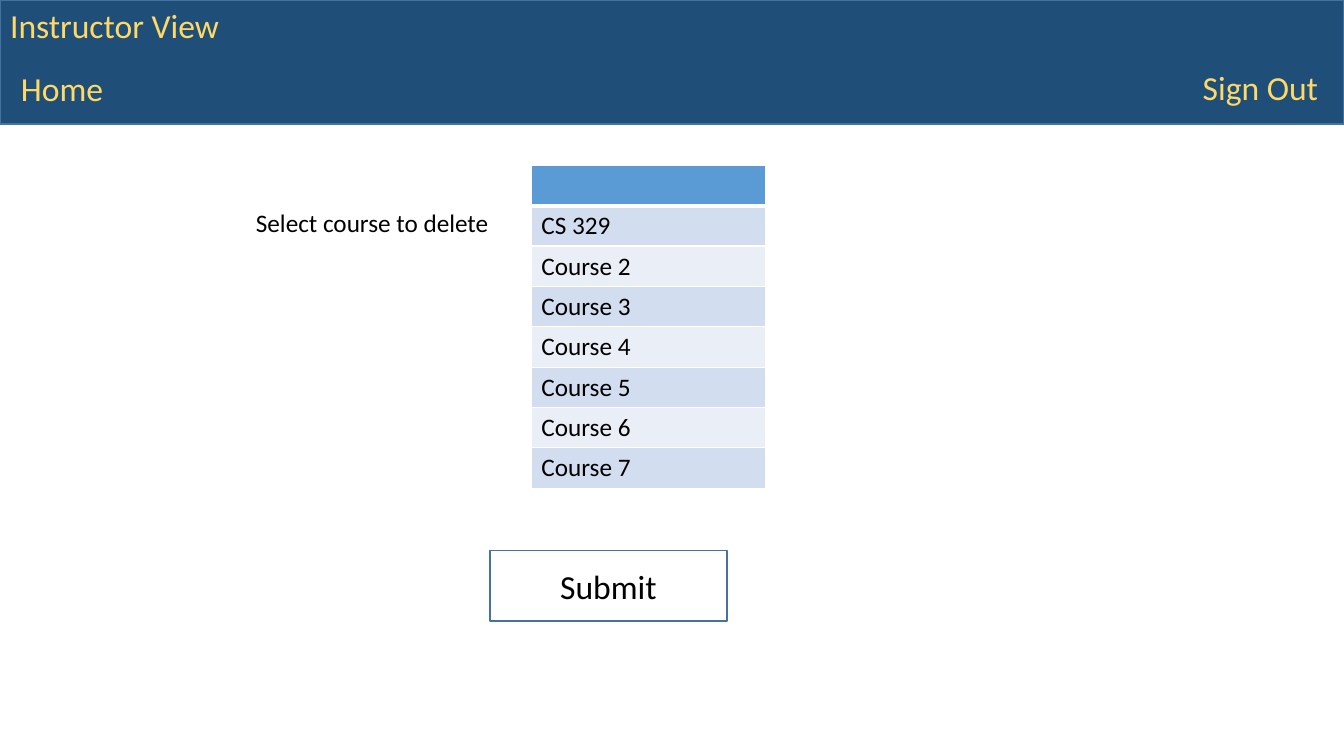
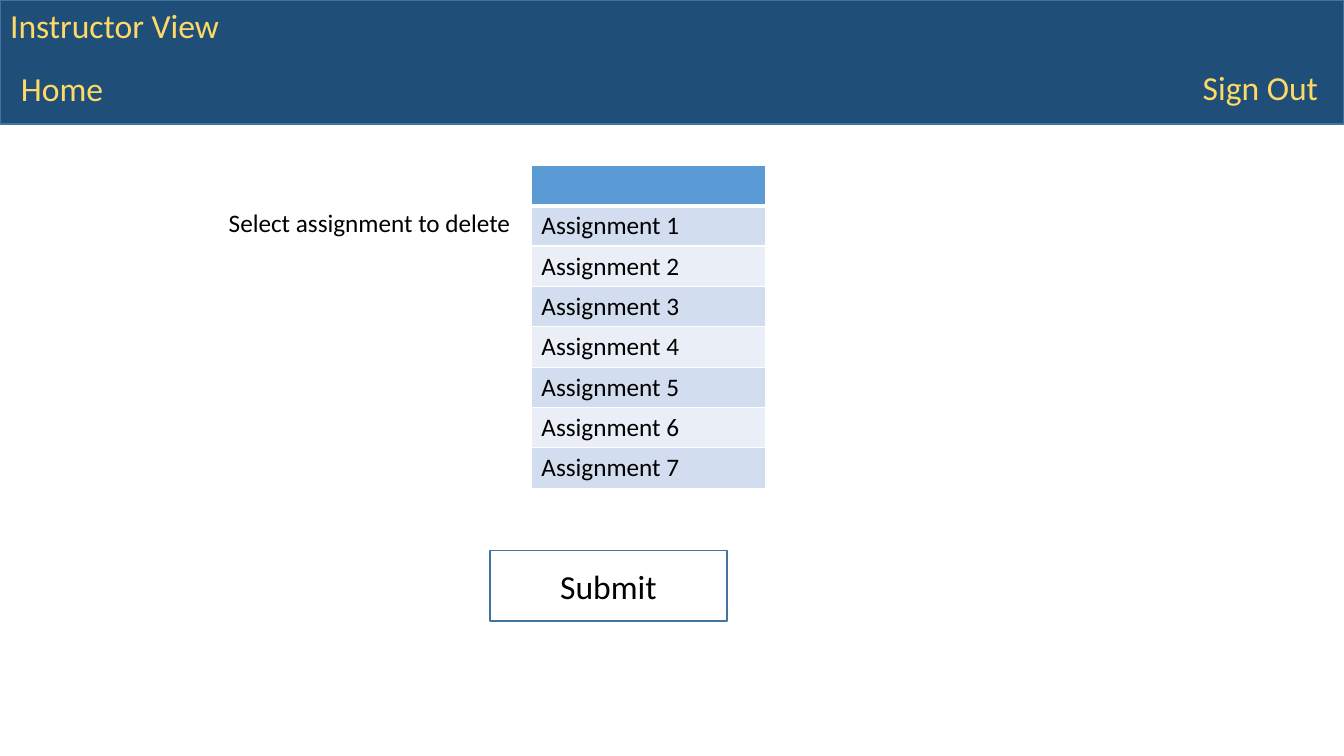
from lxml import etree
from pptx import Presentation
from pptx.dml.color import RGBColor
from pptx.enum.shapes import MSO_SHAPE as Shape
from pptx.enum.text import MSO_ANCHOR as Anchor, MSO_AUTO_SIZE as AutoSize, PP_ALIGN as Align
from pptx.oxml.ns import qn
from pptx.util import Inches, Pt

# Shared look
FONT = "Calibri"
NAVY, OUTLINE, GOLD = "1F4E79", "43739E", "FFD966"
BLACK, WHITE = "000000", "FFFFFF"
HEADER_FILL, BAND_FILLS = "5B9BD5", ("D2DEEF", "EAEFF7")
LARGE, BODY = 24, 18

deck = Presentation()
deck.slide_width, deck.slide_height = Inches(13.33), Inches(7.5)
TITLE_ONLY = deck.slide_layouts[5]

# Shared grid
BAND_HEIGHT = Inches(1.23)
LINE_HEIGHT = Inches(0.5)
LIST_LEFT, LIST_TOP = Inches(5.27), Inches(1.64)
LIST_WIDTH, ROW_HEIGHT = Inches(2.32), Inches(0.4)
BUTTON = Inches(4.86), Inches(5.46), Inches(2.35), Inches(0.7)
NAV_LINKS = [("Sign Out", Inches(11.83), Inches(0.61), Inches(1.5)),
             ("Home", Inches(0.11), Inches(0.62), Inches(1.04))]

# Prompt, its left edge and width, and the entries of each page
PAGES = [
    ("Select course to delete", Inches(2.44), Inches(2.83),
     ["CS 329"] + [f"Course {number}" for number in range(2, 8)]),
    ("Select assignment to delete", Inches(2.17), Inches(3.11),
     [f"Assignment {number}" for number in range(1, 8)]),
]


def color(hex_value):
    return RGBColor.from_string(hex_value)


def write(frame, text, size, hex_value, align=Align.LEFT, anchor=Anchor.TOP):
    frame.word_wrap = True
    frame.vertical_anchor = anchor
    para = frame.paragraphs[0]
    para.alignment = align
    span = para.add_run()
    span.text = text
    span.font.name, span.font.size = FONT, Pt(size)
    span.font.color.rgb = color(hex_value)


for prompt, prompt_left, prompt_width, entries in PAGES:
    page = deck.slides.add_slide(TITLE_ONLY)
    shapes = page.shapes
    title = shapes.title

    # Top band and submit button
    band = shapes.add_shape(Shape.RECTANGLE, 0, 0, deck.slide_width, BAND_HEIGHT)
    button = shapes.add_shape(Shape.RECTANGLE, *BUTTON)
    for box in (band, button):
        box.shadow.inherit = False
        box.line.color.rgb = color(OUTLINE)
        box.line.width = Pt(1)
    band.fill.solid()
    band.fill.fore_color.rgb = color(NAVY)
    button.fill.background()
    write(button.text_frame, "Submit", LARGE, BLACK, Align.CENTER, Anchor.MIDDLE)

    # Title, in front of the band
    band._element.addnext(title._element)
    title.left, title.top, title.width, title.height = 0, 0, Inches(2.3), LINE_HEIGHT
    title.text_frame.auto_size = AutoSize.NONE
    write(title.text_frame, "Instructor View", LARGE, GOLD)

    # Navigation links
    for label, left, top, width in NAV_LINKS:
        box = shapes.add_textbox(left, top, width, LINE_HEIGHT)
        write(box.text_frame, label, LARGE, GOLD)

    # Prompt
    box = shapes.add_textbox(prompt_left, Inches(2.01), prompt_width, ROW_HEIGHT)
    write(box.text_frame, prompt, BODY, BLACK)

    # List of entries under an empty header
    row_count = len(entries) + 1
    table = shapes.add_table(row_count, 1, LIST_LEFT, LIST_TOP,
                             LIST_WIDTH, ROW_HEIGHT * row_count).table
    table.horz_banding = False
    for row, entry in enumerate([""] + entries):
        table.rows[row].height = ROW_HEIGHT
        cell = table.cell(row, 0)
        properties = cell._tc.get_or_add_tcPr()
        for side in "LRTB":
            below_header = (row, side) in ((0, "B"), (1, "T"))
            border = etree.SubElement(properties, qn(f"a:ln{side}"),
                                      w=str(Pt(3 if below_header else 1)))
            paint = etree.SubElement(border, qn("a:solidFill"))
            etree.SubElement(paint, qn("a:srgbClr"), val=WHITE)
        cell.fill.solid()
        cell.fill.fore_color.rgb = color(BAND_FILLS[(row - 1) % 2] if row else HEADER_FILL)
        if entry:
            write(cell.text_frame, entry, BODY, BLACK)

deck.save("out.pptx")
